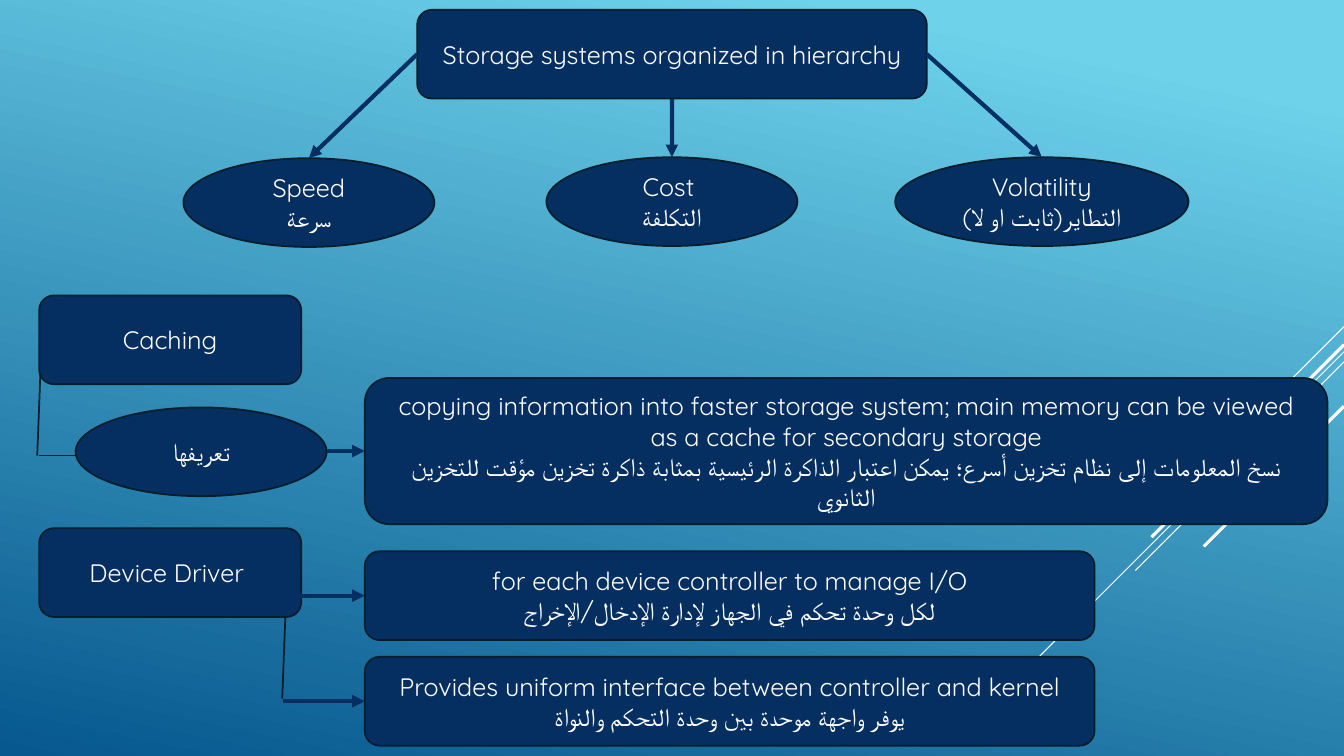
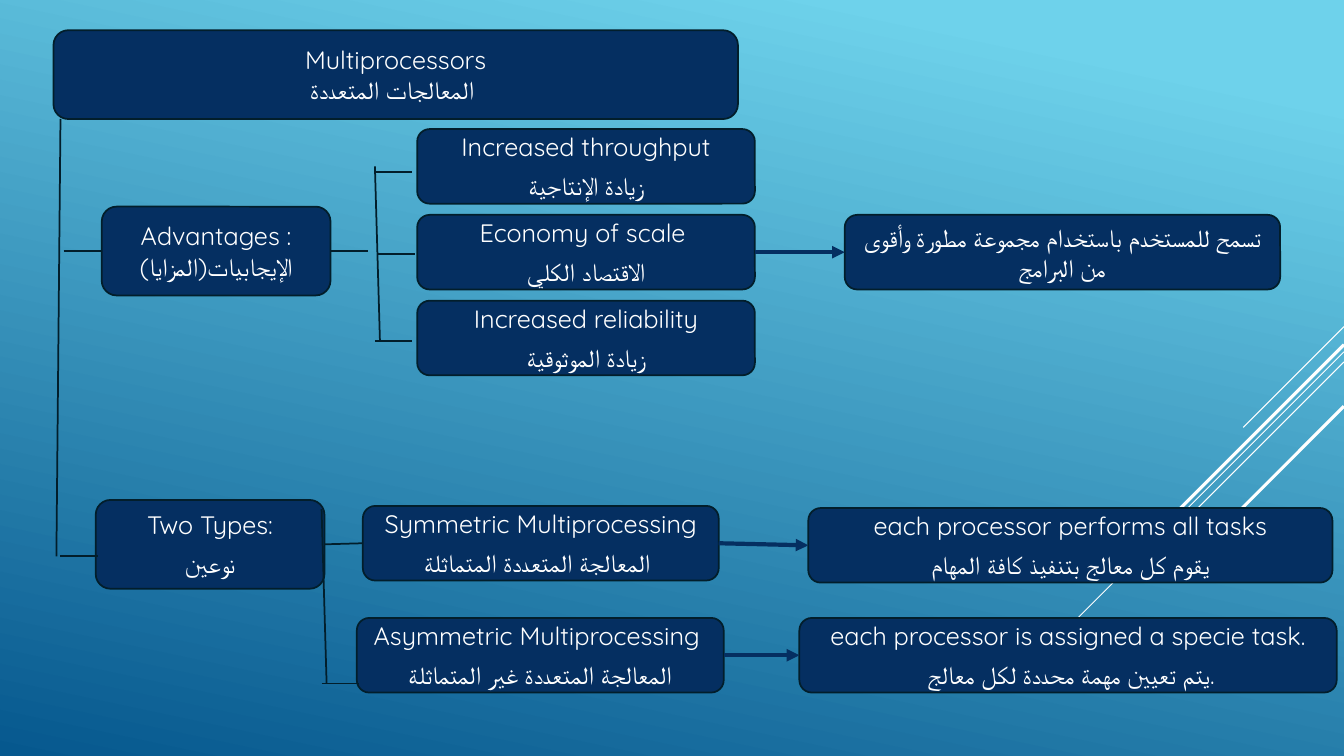
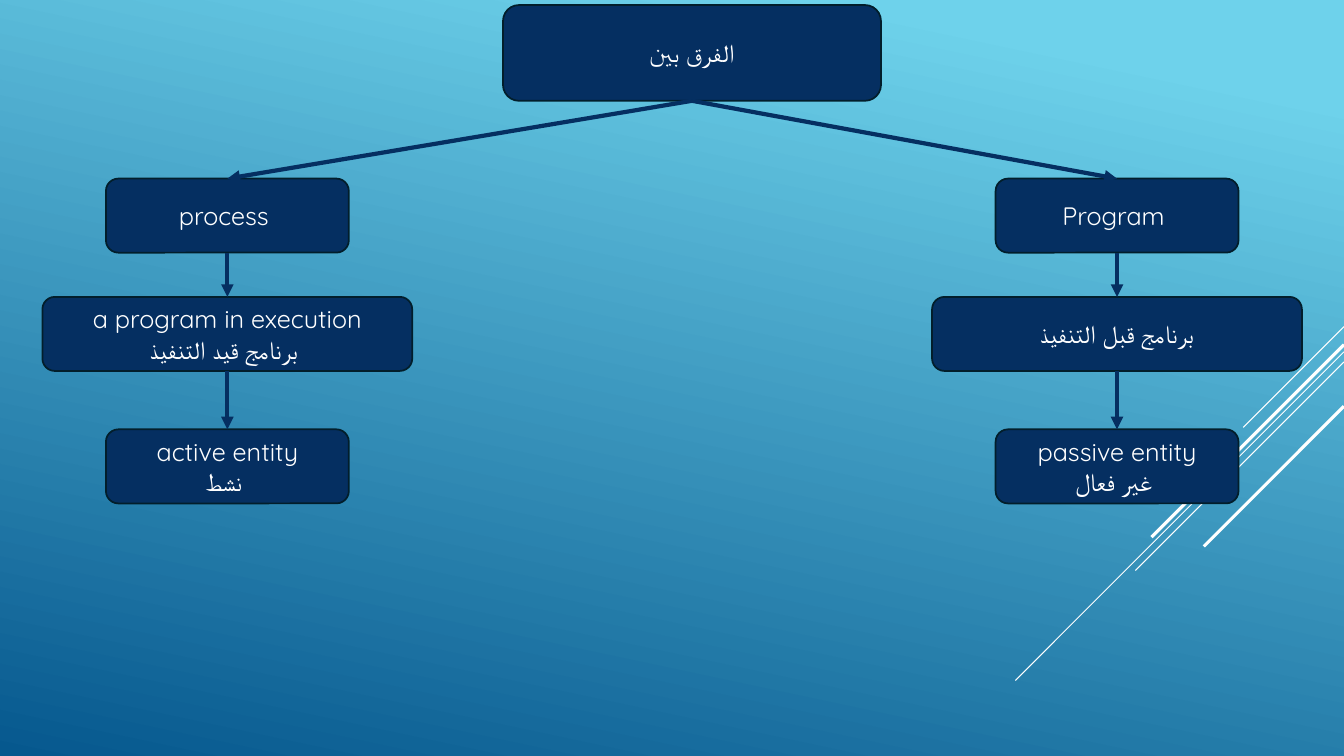
from dataclasses import dataclass, field

from lxml import etree
from pptx import Presentation, util as u
from pptx.dml.color import RGBColor
from pptx.enum import shapes, text
from pptx.oxml.ns import qn

TOP, LEFT, BOTTOM, RIGHT = range(4)
ROUNDED = shapes.MSO_SHAPE.ROUNDED_RECTANGLE
OVAL = shapes.MSO_SHAPE.OVAL


@dataclass(frozen=True)
class Theme:
    sky: str = "6ED2EB"
    deep: str = "06588E"
    navy: str = "052F61"
    edge: str = "021E2B"
    white: str = "FFFFFF"
    outline: float = 1.25
    arrow: float = 3
    gradient_angle: int = 258
    typeface: str = "Quicksand"
    font: dict = field(default_factory=lambda: {"name": "Quicksand", "size": u.Pt(18)})
    # Diagonal streaks: (height at the right edge, run to the left, line width)
    streaks: tuple = ((233.3, 72, 0.75), (251.3, 234.7, 0.75), (258.5, 149, 0.75),
                      (246.2, 137.5, 2.25), (290.2, 100.1, 2.25))


class Deck:
    """Holds the theme and the slide being drawn; lengths are in points."""
    WIDTH, HEIGHT = 960, 540

    def __init__(self, theme):
        self.theme = theme
        self.prs = Presentation()
        self.prs.slide_width = u.Pt(self.WIDTH)
        self.prs.slide_height = u.Pt(self.HEIGHT)
        self.slide = None
        self.paint_background()

    def paint_background(self):
        fill = self.prs.slide_master.background.fill
        fill.gradient()
        fill.gradient_angle = self.theme.gradient_angle
        stops = ((0.1, self.theme.sky), (1, self.theme.deep))
        for stop, (position, color) in zip(fill.gradient_stops, stops):
            stop.position = position
            stop.color.rgb = RGBColor.from_string(color)

    def new_slide(self):
        self.slide = self.prs.slides.add_slide(self.prs.slide_layouts[6])
        for y, run, width in self.theme.streaks:
            self.line((self.WIDTH, y), (self.WIDTH - run, y + run),
                      self.theme.white, width)

    def node(self, lines, x, y, w, h=63.4, kind=ROUNDED, gap=0):
        """Dark box or oval; each entry of lines is one paragraph."""
        shape = self.slide.shapes.add_shape(kind, *map(u.Pt, (x, y, w, h)))
        shape.shadow.inherit = False
        shape.fill.solid()
        shape.fill.fore_color.rgb = RGBColor.from_string(self.theme.navy)
        self.stroke(shape.line, self.theme.edge, self.theme.outline)
        frame = shape.text_frame
        frame.word_wrap = True
        frame.vertical_anchor = text.MSO_ANCHOR.MIDDLE
        for i, words in enumerate(lines):
            paragraph = frame.paragraphs[0] if i == 0 else frame.add_paragraph()
            paragraph.alignment = text.PP_ALIGN.CENTER
            paragraph.space_before = u.Pt(gap)
            run = paragraph.add_run()
            run.text = words
            for name, value in self.theme.font.items():
                setattr(run.font, name, value)
            run.font.color.rgb = RGBColor.from_string(self.theme.white)
            # Arabic letters take the complex-script typeface
            etree.SubElement(run.font._element, qn("a:cs"), typeface=self.theme.typeface)
        return shape

    def stroke(self, line, color, width):
        line.fill.solid()
        line.fill.fore_color.rgb = RGBColor.from_string(color)
        line.width = u.Pt(width)

    def line(self, start, end, color=None, width=None, head=False):
        """Each end is an (x, y) point or a (node, side) pair."""
        points = [(0, 0) if hasattr(e[0], "shape_id") else e for e in (start, end)]
        link = self.slide.shapes.add_connector(
            shapes.MSO_CONNECTOR.STRAIGHT, *(u.Pt(v) for p in points for v in p))
        for place, join in ((start, link.begin_connect), (end, link.end_connect)):
            if hasattr(place[0], "shape_id"):
                join(*place)
        self.stroke(link.line, color or self.theme.edge, width or self.theme.outline)
        properties = link._element.spPr
        if head:
            etree.SubElement(properties.find(qn("a:ln")), qn("a:tailEnd"), type="triangle")
        etree.SubElement(properties, qn("a:effectLst"))

    def arrow(self, start, end):
        self.line(start, end, self.theme.navy, self.theme.arrow, head=True)


def storage_slide(deck):
    deck.new_slide()
    # Hierarchy criteria
    hierarchy = deck.node(["Storage systems organized in hierarchy"], 298, 7, 364)
    criteria = [
        (LEFT, ["Speed", "سرعة"], 131, 113, 179.3),
        (BOTTOM, ["Cost ", "التكلفة"], 390.3, 112.3, 179.3),
        (RIGHT, ["Volatility", "التطاير(ثابت او لا)"], 639.4, 112.3, 209.5),
    ]
    for side, words, x, y, w in criteria:
        criterion = deck.node(words, x, y, w, kind=OVAL)
        deck.arrow((hierarchy, side), (criterion, TOP))

    # Caching
    deck.node(["Caching"], 28, 211, 187.2)
    deck.node(["تعريفها"], 54, 291, 179.3, kind=OVAL)
    deck.line((28, 325.4), (54, 325.4))
    deck.line((28.8, 267.8), (26.6, 325.4))
    definition = deck.node(
        ["copying information into faster storage system; main memory can be viewed "
         "as a cache for secondary storage",
         "نسخ المعلومات إلى نظام تخزين أسرع؛ يمكن اعتبار الذاكرة الرئيسية بمثابة "
         "ذاكرة تخزين مؤقت للتخزين الثانوي"], 260.6, 270, 687.6, 104.4)
    deck.arrow((233.3, 322.2), (definition, LEFT))

    # Device driver
    deck.node(["Device Driver "], 28, 377.3, 187.2)
    deck.line((203.8, 441.4), (201.6, 499))
    duties = [
        ["for each device controller to manage I/O",
         "لكل وحدة تحكم في الجهاز لإدارة الإدخال/الإخراج"],
        ["Provides uniform interface between controller and kernel",
         "يوفر واجهة موحدة بين وحدة التحكم والنواة"],
    ]
    for i, words in enumerate(duties):
        y = 393.8 + 75.4 * i
        duty = deck.node(words, 260.6, y, 521.3)
        deck.arrow((202.3, y + 31.7), (duty, LEFT))


def multiprocessor_slide(deck):
    deck.new_slide()
    loose = {"h": 53.3, "gap": 6.3}
    # Heading and its two branches
    deck.node(["Multiprocessors", "المعالجات المتعددة "], 38.2, 21.6, 488.9)
    advantages = deck.node(["Advantages :", "الإيجابيات(المزايا)"], 72.7, 147.6, 163.4)
    types = deck.node(["Two Types:", "نوعين"], 68.4, 357.1, 163.4, gap=6.3)
    deck.line((43.2, 85), (40.3, 397.4))
    deck.line((45.4, 179.3), (advantages, LEFT))
    deck.line((43.2, 397.4), (69.8, 397.4))

    # Advantages
    gains = [deck.node(words, 298, 92.2 + 61.3 * i, 241.2, **loose)
             for i, words in enumerate([
                 ["Increased throughput", "زيادة الإنتاجية"],
                 ["Economy of scale ", "الاقتصاد الكلي"],
                 ["Increased reliability", "زيادة الموثوقية"]])]
    deck.line((advantages, RIGHT), (262.8, 179.3))
    deck.line((267.8, 118.8), (271.4, 243.4))
    for x, y in ((267.8, 123.1), (270, 181.4), (267.8, 243.4)):
        deck.line((x, y), (x + 26.5, y))
    benefit = deck.node(["تسمح للمستخدم باستخدام مجموعة مطورة وأقوى من البرامج"],
                        603.4, 153.5, 311, **loose)
    deck.arrow((gains[1], RIGHT), (benefit, LEFT))

    # Types and what each one does
    symmetric = deck.node(["Symmetric Multiprocessing", "المعالجة المتعددة المتماثلة "],
                          259.2, 361.4, 254.2, **loose)
    asymmetric = deck.node(
        ["Asymmetric Multiprocessing ", "المعالجة المتعددة غير المتماثلة"],
        254.9, 441.4, 262.1, **loose)
    deck.line((types, RIGHT), (symmetric, LEFT))
    deck.line((229.7, 488.2), (256.3, 488.2))
    deck.line((229.7, 363.6), (233.3, 488.2))
    behaviours = [
        (symmetric, ["each processor performs all tasks",
                     "يقوم كل معالج بتنفيذ كافة المهام"], 577.4, 362.9, 374.4),
        (asymmetric, ["each processor is assigned a specie task.",
                      " يتم تعيين مهمة محددة لكل معالج."], 571, 441.4, 383.8),
    ]
    for kind, words, x, y, w in behaviours:
        behaviour = deck.node(words, x, y, w, **loose)
        deck.arrow((kind, RIGHT), (behaviour, LEFT))


def difference_slide(deck):
    deck.new_slide()
    difference = deck.node(["الفرق بين"], 359.3, 3.6, 270, 68.4)
    # One column per concept, each step centred under the last
    steps = ((127.6, 173.5), (212.1, 264.2), (306.7, 173.5))
    columns = {
        162.4: (["process "], ["a program in execution", "برنامج قيد التنفيذ "],
                ["active entity", "نشط "]),
        797.9: (["Program "], ["برنامج قبل التنفيذ"],
                ["passive entity", "غير فعال "]),
    }
    for center, column in columns.items():
        above = difference
        for words, (y, w) in zip(column, steps):
            step = deck.node(words, center - w / 2, y, w, 52.9)
            deck.arrow((above, BOTTOM), (step, TOP))
            above = step


def main():
    deck = Deck(Theme())
    for draw in (storage_slide, multiprocessor_slide, difference_slide):
        draw(deck)
    deck.prs.save("out.pptx")


if __name__ == "__main__":
    main()
